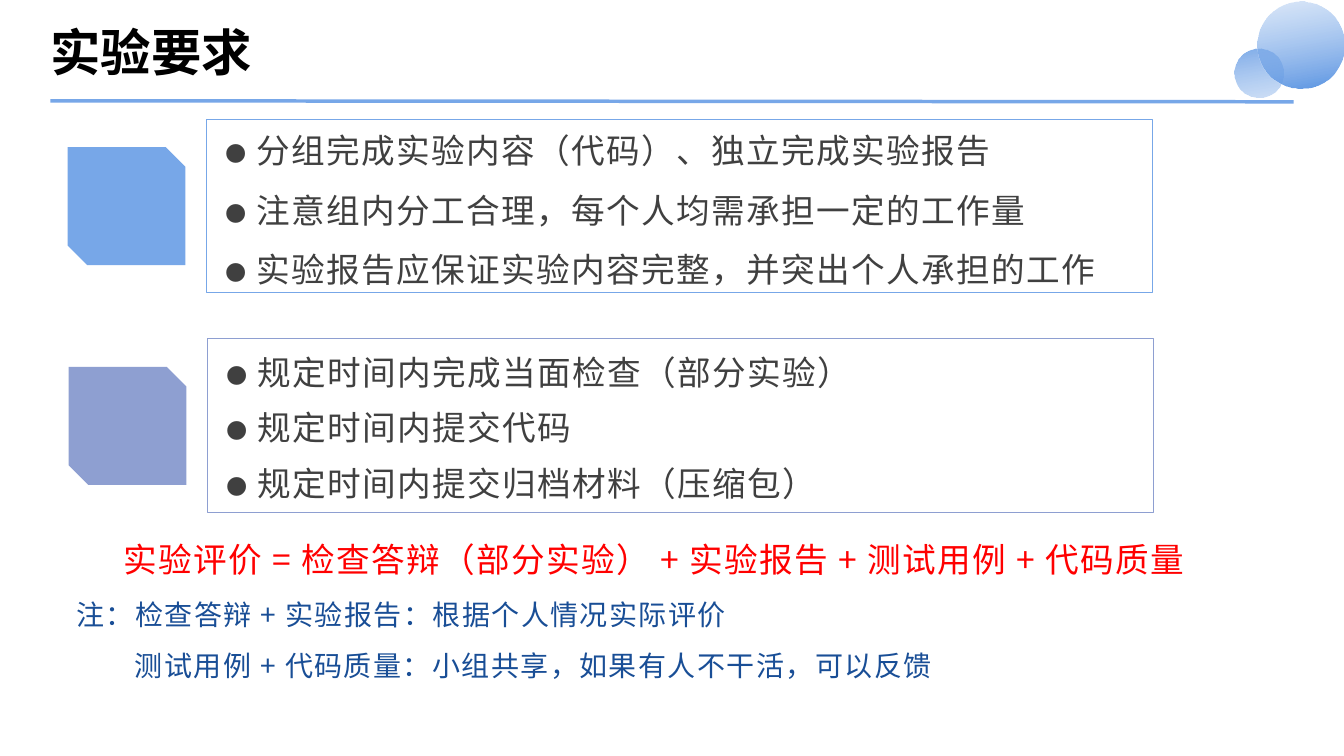
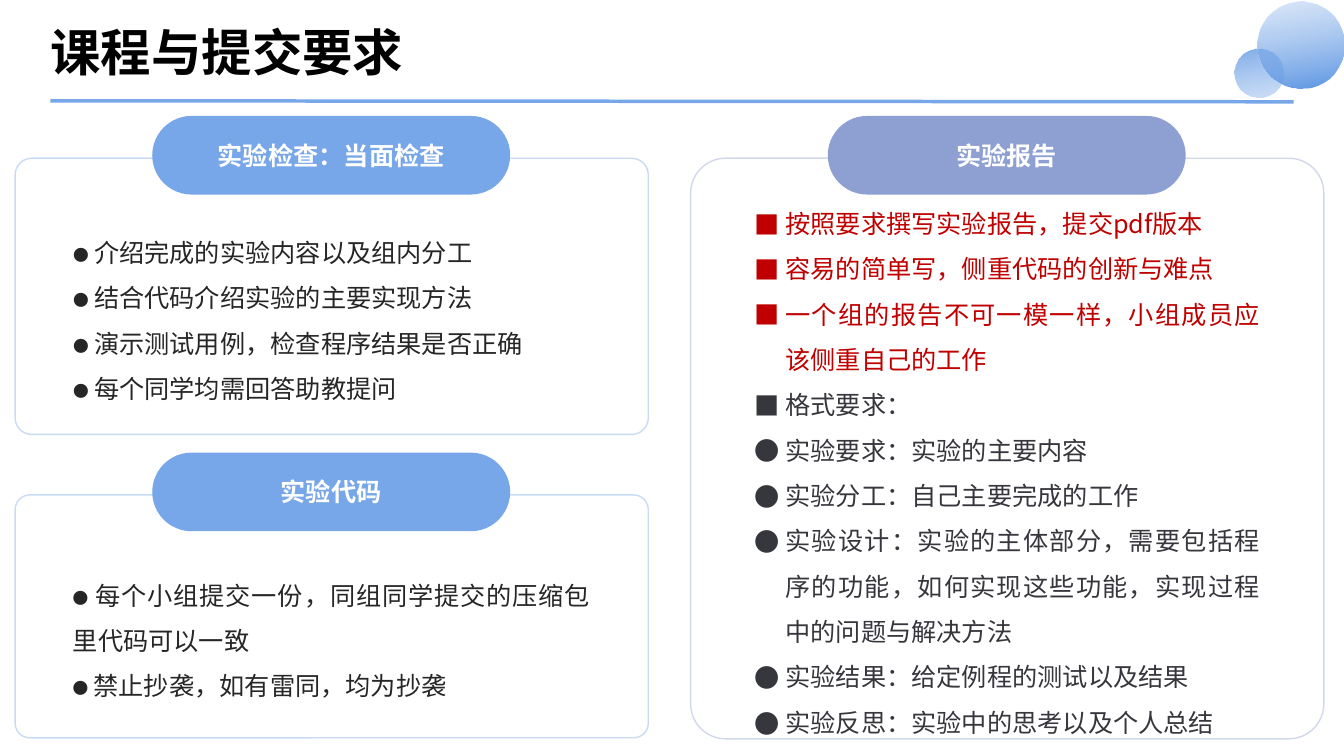
from lxml.etree import SubElement
from pptx import Presentation
from pptx.dml.color import RGBColor
from pptx.enum.shapes import MSO_CONNECTOR, MSO_SHAPE as Shape
from pptx.enum.text import MSO_ANCHOR as Anchor, MSO_AUTO_SIZE as Auto, PP_ALIGN as Align
from pptx.oxml.ns import qn
from pptx.util import Pt

PX = 9144  # 100 px to the inch
FONT = "Noto Sans CJK SC"
BLUE, LILAC = "77A7E8", "8E9FD1"
GREY, DARK, INK, RED = "404040", "262626", "36363D", "C00000"
rgb = RGBColor.from_string


def box(slide, kind, at, fill=None, line=None, width=1):
    """Add a preset shape with plain fill and outline."""
    shape = slide.shapes.add_shape(kind, *(n * PX for n in at))
    shape.shadow.inherit = False
    for paint, hue in ((shape.fill, fill), (shape.line.fill, line)):
        if hue:
            paint.solid()
            paint.fore_color.rgb = rgb(hue)
        else:
            paint.background()
    if line:
        shape.line.width = Pt(width)
    return shape


def write(frame, text, size, hue, bold=False, align=Align.LEFT, lead=None,
          after=None, track=0, left=0, mark=None):
    """Add one paragraph, using the empty first one if there is one."""
    para = frame.paragraphs[0]
    if para.runs:
        para = frame.add_paragraph()
    para.alignment = align
    if lead:
        para.line_spacing = lead
    if after:
        para.space_after = Pt(after)
    props = para._p.get_or_add_pPr()
    if left:
        props.set("marL", str(left * PX))
        props.set("indent", str(-left * PX if mark else 0))
    if mark:
        SubElement(props, qn("a:buFont"), typeface=FONT)
        SubElement(props, qn("a:buChar"), char=mark)
    run = para.add_run()
    run.text = text
    font = run.font
    font.size, font.bold, font.name = Pt(size), bold, FONT
    font.color.rgb = rgb(hue)
    look = run._r.get_or_add_rPr()
    SubElement(look, qn("a:ea"), typeface=FONT)
    if track:
        look.set("spc", str(track * 100))


deck = Presentation()
deck.slide_width, deck.slide_height = 1333 * PX, 750 * PX

# Shared head: bubbles, rule and title
BUBBLES = [
    ((1224, 48, 49, 49), 215, (("ADCAF1", 55), (BLUE, 100))),
    ((1247, 2, 86, 86), 35, (("ADCAF1", 39), ("4D8CE1", 100))),
]
pages = []
for name in ("实验要求", "课程与提交要求"):
    slide = deck.slides.add_slide(deck.slide_layouts[5])
    pages.append(slide)
    for at, turn, stops in BUBBLES:
        ball = box(slide, Shape.OVAL, at)
        ball.rotation = turn
        ball.fill.gradient()
        ball.fill.gradient_angle = 315
        for stop, (hue, alpha) in zip(ball.fill.gradient_stops, stops):
            stop.color.rgb = rgb(hue)
        for tint, (hue, alpha) in zip(ball.element.xpath(".//a:gs/a:srgbClr"), stops):
            SubElement(tint, qn("a:alpha"), val=str(alpha * 1000))

    rule = slide.shapes.add_connector(
        MSO_CONNECTOR.STRAIGHT, 50 * PX, 100 * PX, 1283 * PX, 101 * PX)
    rule.line.color.rgb = rgb(BLUE)
    rule.line.width = Pt(2.5)
    SubElement(rule.element.spPr, qn("a:effectLst"))

    title = slide.shapes.title
    title.left, title.top, title.width, title.height = (
        n * PX for n in (50, 17, 1233, 67))
    frame = title.text_frame
    frame.margin_left = frame.margin_right = frame.margin_top = frame.margin_bottom = 0
    frame.auto_size = Auto.NONE
    frame.vertical_anchor = Anchor.MIDDLE
    write(frame, name, 36, "000000", bold=True)

rules, hand = pages

# Slide 1: two framed lists, each with a snipped tile
LISTS = [
    (205, 118, BLUE, 1.2, (
        "分组完成实验内容（代码）、独立完成实验报告",
        "注意组内分工合理，每个人均需承担一定的工作量",
        "实验报告应保证实验内容完整，并突出个人承担的工作")),
    (206, 336, LILAC, 1.1, (
        "规定时间内完成当面检查（部分实验）",
        "规定时间内提交代码",
        "规定时间内提交归档材料（压缩包）")),
]
for x, y, hue, lead, items in LISTS:
    box(rules, Shape.RECTANGLE, (x, y, 938, 172), line=hue, width=0.5)
    area = rules.shapes.add_textbox(
        *(n * PX for n in (x + 9, y + 4, 918, 164)))
    frame = area.text_frame
    frame.word_wrap = True
    frame.vertical_anchor = Anchor.MIDDLE
    for item in items:
        write(frame, "⚫ " + item, 24, GREY, lead=lead, after=8, track=1)
    box(rules, Shape.SNIP_2_DIAG_RECTANGLE, (x - 138, y + 28, 117, 117), fill=hue)

# Slide 1: grading formula and notes
area = rules.shapes.add_textbox(*(n * PX for n in (66, 522, 1165, 158)))
frame = area.text_frame
frame.word_wrap = True
frame.auto_size = Auto.SHAPE_TO_FIT_TEXT
write(frame, "实验评价 = 检查答辩（部分实验） + 实验报告 + 测试用例 + 代码质量",
      24, "FF0000", align=Align.CENTER, lead=1.2, after=8, track=1)
for left, note in ((0, "注：检查答辩 + 实验报告：根据个人情况实际评价"),
                   (58, "测试用例 + 代码质量：小组共享，如果有人不干活，可以反馈")):
    write(frame, note, 20, "194E96", lead=1.2, after=8, track=1, left=left)

# Slide 2: cards, each with a pill on its top edge
CARDS = [
    (15, 157, 274, BLUE, "实验检查：当面检查", (
        (None, DARK, "⚫ 介绍完成的实验内容以及组内分工"),
        (None, DARK, "⚫ 结合代码介绍实验的主要实现方法"),
        (None, DARK, "⚫ 演示测试用例，检查程序结果是否正确"),
        (None, DARK, "⚫ 每个同学均需回答助教提问"))),
    (685, 157, 576, LILAC, "实验报告", (
        ("■", RED, "按照要求撰写实验报告，提交pdf版本"),
        ("■", RED, "容易的简单写，侧重代码的创新与难点"),
        ("■", RED, "一个组的报告不可一模一样，小组成员应该侧重自己的工作"),
        ("■", INK, "格式要求："),
        ("●", INK, "实验要求：实验的主要内容"),
        ("●", INK, "实验分工：自己主要完成的工作"),
        ("●", INK, "实验设计：实验的主体部分，需要包括程序的功能，"
                   "如何实现这些功能，实现过程中的问题与解决方法"),
        ("●", INK, "实验结果：给定例程的测试以及结果"),
        ("●", INK, "实验反思：实验中的思考以及个人总结"))),
    (15, 491, 241, BLUE, "实验代码", (
        (None, DARK, "⚫ 每个小组提交一份，同组同学提交的压缩包里代码可以一致"),
        (None, DARK, "⚫ 禁止抄袭，如有雷同，均为抄袭"))),
]
WIDE, PILL = 628, 355
for x, y, high, hue, head, items in CARDS:
    card = box(hand, Shape.ROUNDED_RECTANGLE, (x, y, WIDE, high), "FFFFFF", hue)
    card.adjustments[0] = 0.06
    for tint in card.element.xpath(".//a:ln//a:srgbClr"):
        SubElement(tint, qn("a:alpha"), val="40000")
    frame = card.text_frame
    frame.word_wrap = True
    frame.margin_left = frame.margin_right = 53 * PX
    frame.margin_top, frame.margin_bottom = 59 * PX, 26 * PX
    for mark, ink, item in items:
        write(frame, item, 18, ink, align=Align.JUSTIFY, lead=1.5,
              left=31 if mark else 0, mark=mark)

    pill = box(hand, Shape.ROUNDED_RECTANGLE,
               (x + (WIDE - PILL) // 2, y - 42, PILL, 78), hue)
    pill.adjustments[0] = 0.5
    frame = pill.text_frame
    frame.margin_left = frame.margin_right = frame.margin_top = frame.margin_bottom = 0
    write(frame, head, 18, "FFFFFF", bold=True, align=Align.CENTER)

deck.save("out.pptx")
